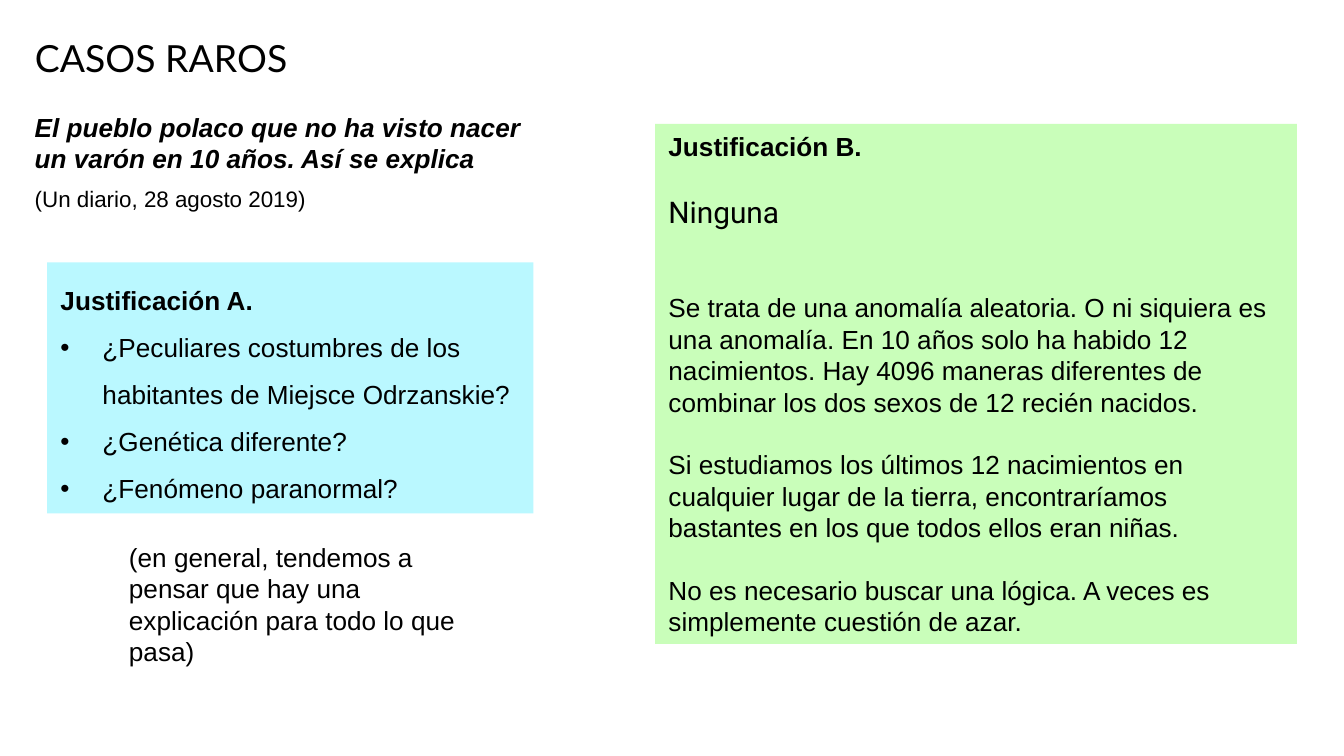
from lxml.etree import SubElement
from pptx import Presentation
from pptx.dml.color import RGBColor
from pptx.enum.shapes import MSO_SHAPE
from pptx.enum.text import MSO_ANCHOR, MSO_AUTO_SIZE, PP_ALIGN
from pptx.oxml.ns import qn
from pptx.util import Pt

BLACK = RGBColor(0x00, 0x00, 0x00)
CYAN = RGBColor(0xBA, 0xF8, 0xFF)
GREEN = RGBColor(0xC9, 0xFE, 0xBA)
LINE = 16.8  # height of one line of 14 pt text
BULLET_INDENT = 22.5


def place(shape, left, top, width, height):
    shape.left, shape.top = Pt(left), Pt(top)
    shape.width, shape.height = Pt(width), Pt(height)


def fill_box(shape, color):
    shape.fill.solid()
    shape.fill.fore_color.rgb = color
    shape.line.fill.background()


def write(shape, texts):
    """Put one paragraph per text in the shape, in plain black 14 pt Arial."""
    frame = shape.text_frame
    frame.word_wrap = True
    frame.auto_size = MSO_AUTO_SIZE.NONE
    frame.vertical_anchor = MSO_ANCHOR.TOP
    frame.text = "\n".join(texts)
    for paragraph in frame.paragraphs:
        paragraph.alignment = PP_ALIGN.LEFT
        paragraph.space_before = Pt(0)
        style(paragraph)
    return frame.paragraphs


def style(paragraph, size=14, font="Arial", bold=False, italic=False):
    for run in paragraph.runs:
        run.font.size = Pt(size)
        run.font.name = font
        run.font.bold = bold
        run.font.italic = italic
        run.font.color.rgb = BLACK


def set_bullet(paragraph, character=None):
    """Give the paragraph a hanging bullet, or none if no character is given."""
    properties = paragraph._p.get_or_add_pPr()
    indent = Pt(BULLET_INDENT) if character else 0
    properties.set("marL", str(indent))
    properties.set("indent", str(-indent))
    if character:
        SubElement(properties, qn("a:buFont"), typeface="Arial")
        SubElement(properties, qn("a:buChar"), char=character)
    else:
        SubElement(properties, qn("a:buNone"))


def add_title(slide):
    title = slide.shapes.title
    place(title, 11.5, 15, 286, 32)
    style(write(title, ["CASOS RAROS"])[0], size=20, font="Lato")


def add_text_box(slide, box, texts):
    shape = slide.shapes.add_textbox(*map(Pt, box))
    return write(shape, texts)


def add_headline(slide):
    headline, source = add_text_box(slide, (11.5, 56, 286, 62), [
        "El pueblo polaco que no ha visto nacer un varón en 10 años. Así se explica",
        "(Un diario, 28 agosto 2019)",
    ])
    style(headline, bold=True, italic=True)
    style(source, size=12)
    source.space_before = Pt(6)


def add_bullet_panel(slide):
    body = slide.placeholders[1]
    place(body, 25.2, 140.5, 260.5, 134.5)
    fill_box(body, CYAN)
    heading, *items = write(body, [
        "Justificación A.",
        "¿Peculiares costumbres de los habitantes de Miejsce Odrzanskie?",
        "¿Genética diferente?",
        "¿Fenómeno paranormal?",
    ])
    style(heading, bold=True)
    for paragraph in (heading, *items):
        paragraph.line_spacing = 1.5
    set_bullet(heading)
    for item in items:
        set_bullet(item, "•")


def add_explanation_panel(slide):
    panel = slide.shapes.add_shape(
        MSO_SHAPE.RECTANGLE, Pt(351), Pt(66.4), Pt(343.8), Pt(278.6))
    panel.shadow.inherit = False
    fill_box(panel, GREEN)
    heading, answer, *reasons = write(panel, [
        "Justificación B.",
        "Ninguna",
        "Se trata de una anomalía aleatoria. O ni siquiera es una anomalía. "
        "En 10 años solo ha habido 12 nacimientos. Hay 4096 maneras diferentes "
        "de combinar los dos sexos de 12 recién nacidos.",
        "Si estudiamos los últimos 12 nacimientos en cualquier lugar de la tierra, "
        "encontraríamos bastantes en los que todos ellos eran niñas.",
        "No es necesario buscar una lógica. A veces es simplemente cuestión de azar.",
    ])
    style(heading, bold=True)
    style(answer, size=16, font="Roboto")
    for paragraph in (answer, *reasons):
        paragraph.space_before = Pt(LINE)
    reasons[0].space_before = Pt(2 * LINE)


def main():
    presentation = Presentation()
    presentation.slide_width, presentation.slide_height = Pt(720), Pt(405)
    slide = presentation.slides.add_slide(presentation.slide_layouts[1])
    add_title(slide)
    add_headline(slide)
    add_bullet_panel(slide)
    add_text_box(slide, (62, 286.5, 209, 75), [
        "(en general, tendemos a pensar que hay una explicación para todo lo que pasa)",
    ])
    add_explanation_panel(slide)
    presentation.save("out.pptx")


if __name__ == "__main__":
    main()
